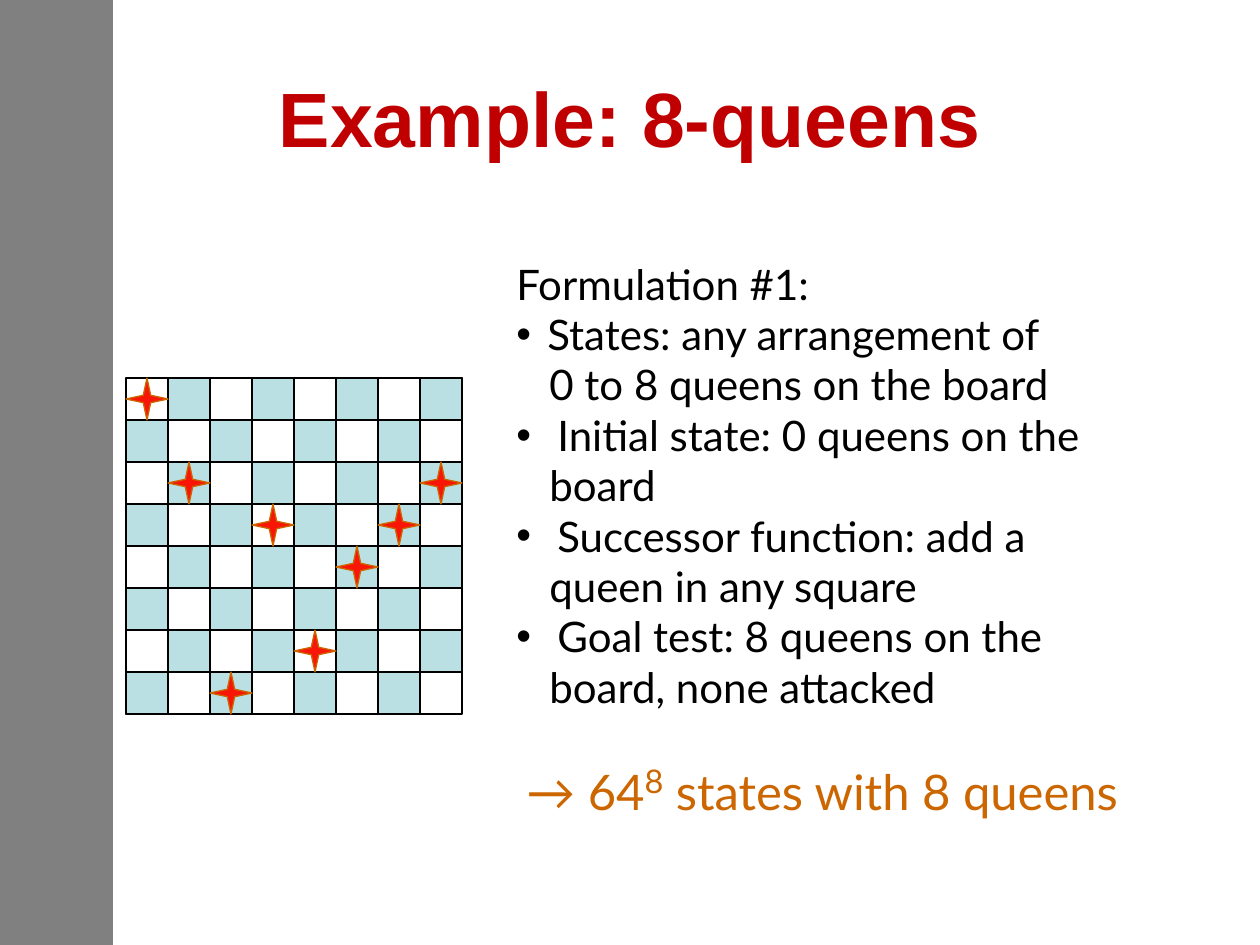
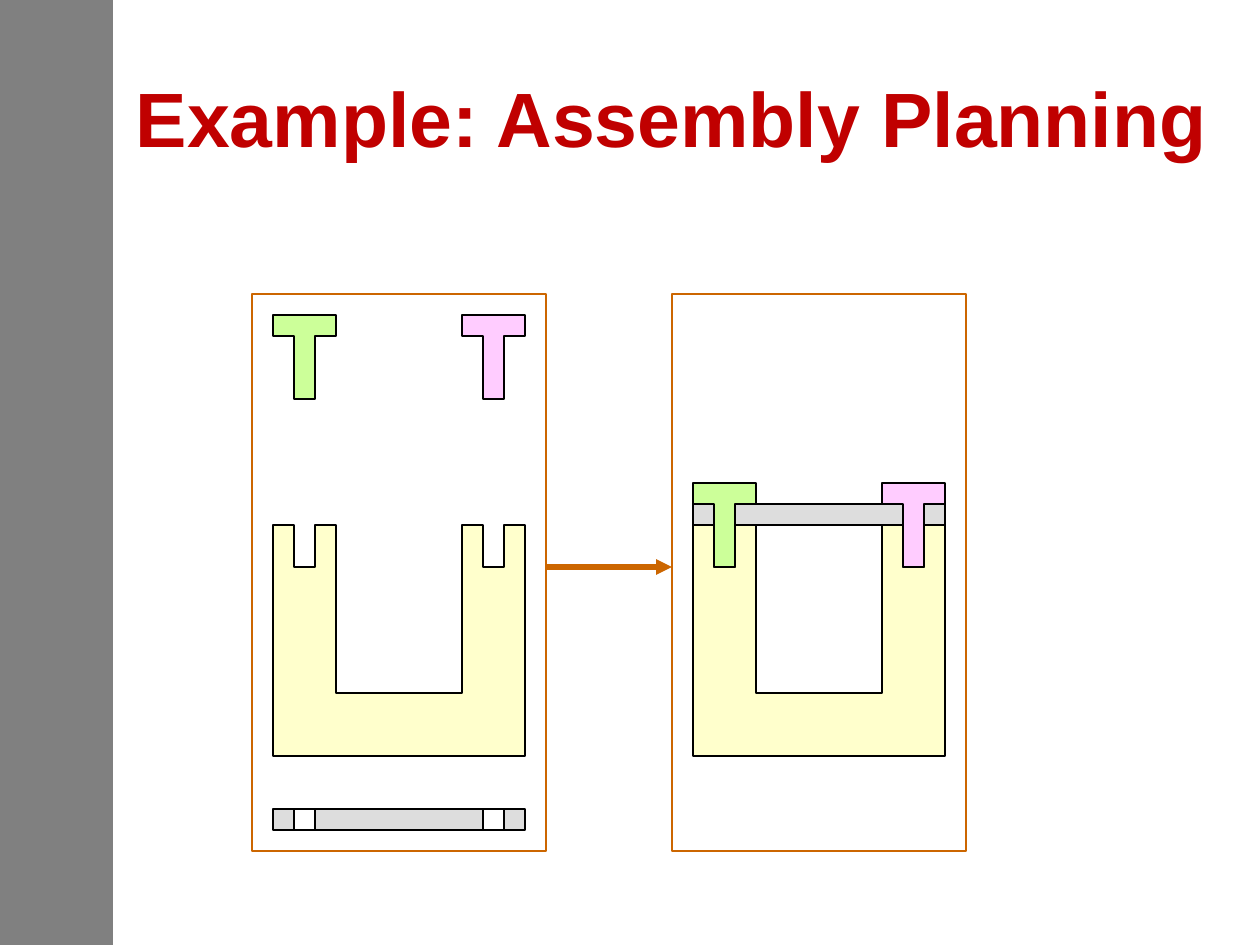
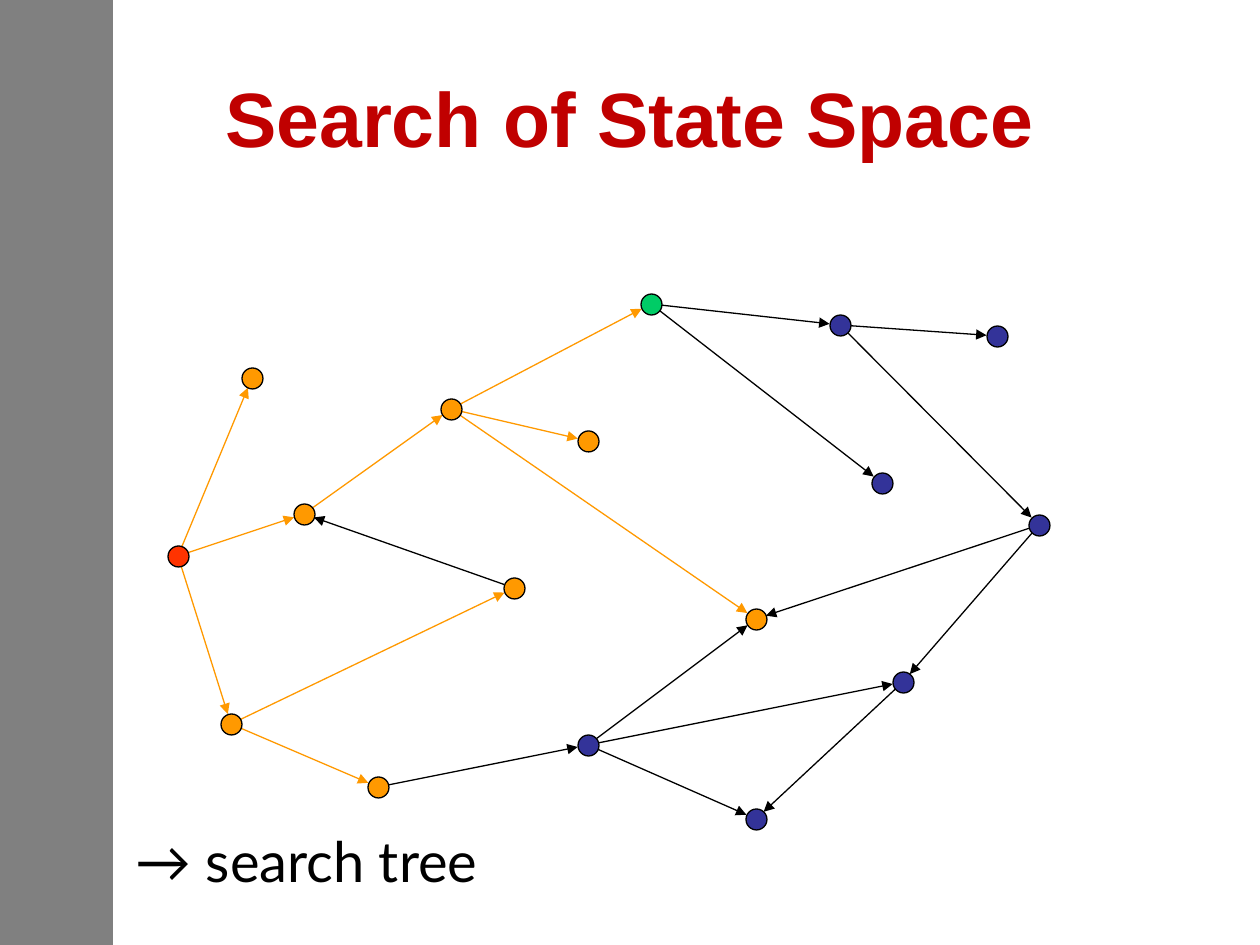
from dataclasses import dataclass
from math import hypot
from typing import Optional

from lxml import etree
from pptx import Presentation
from pptx.dml.color import RGBColor
from pptx.enum.shapes import MSO_CONNECTOR, MSO_SHAPE
from pptx.enum.text import MSO_ANCHOR, PP_ALIGN
from pptx.oxml.ns import qn
from pptx.util import Pt

# Shared scale, colours and fonts
EMU_PER_PX = 914400 / 126
TITLE_FONT, BODY_FONT = "Arial", "Lato"
BLACK, WHITE, GRAY, RED = "000000", "FFFFFF", "808080", "C00000"
BROWN, ORANGE, BLUE = "CC6600", "FF9900", "333399"
THIN = 0.75


@dataclass(frozen=True)
class Line:
    text: str
    indent: int = 0
    bullet: bool = False


@dataclass(frozen=True)
class Assembly:
    x: int
    bolt_y: int
    bar_y: int


@dataclass(frozen=True)
class Node:
    x: int
    y: int
    color: str


def px(n: float) -> int:
    return round(n * EMU_PER_PX)


def rgb(color: str) -> RGBColor:
    return RGBColor.from_string(color)


# Drawing helpers
def paint(sp, fill: Optional[str], line: Optional[str]):
    sp.shadow.inherit = False
    if fill:
        sp.fill.solid()
        sp.fill.fore_color.rgb = rgb(fill)
    else:
        sp.fill.background()
    if line:
        sp.line.color.rgb = rgb(line)
        sp.line.width = Pt(THIN)
    else:
        sp.line.fill.background()
    return sp


def add_shape(s, kind, x: int, y: int, w: int, h: int,
              fill: Optional[str] = None, line: Optional[str] = BLACK):
    sp = s.shapes.add_shape(kind, px(x), px(y), px(w), px(h))
    return paint(sp, fill, line)


def add_outline(s, points, x: int, y: int, unit: int, fill: str) -> None:
    """Close an outline whose points count whole units from (x, y)."""
    builder = s.shapes.build_freeform(*points[0], scale=px(unit))
    builder.add_line_segments(points[1:], close=True)
    paint(builder.convert_to_shape(px(x), px(y)), fill, BLACK)


def add_arrow(s, x1: float, y1: float, x2: float, y2: float,
              color: str, width: float = THIN) -> None:
    c = s.shapes.add_connector(MSO_CONNECTOR.STRAIGHT, px(x1), px(y1), px(x2), px(y2))
    c.line.color.rgb = rgb(color)
    c.line.width = Pt(width)
    ln = c.line._get_or_add_ln()
    etree.SubElement(ln, qn("a:tailEnd"), type="triangle")
    etree.SubElement(c._element.spPr, qn("a:effectLst"))


def add_box(s, x: int, y: int, w: int, h: int):
    tf = s.shapes.add_textbox(px(x), px(y), px(w), px(h)).text_frame
    tf.word_wrap = True
    return tf


def add_text(p, text: str, *, size: int, color: str = BLACK, font: str = BODY_FONT,
             bold: bool = False, raised: bool = False) -> None:
    r = p.add_run()
    r.text = text
    r.font.size, r.font.name, r.font.bold = Pt(size), font, bold
    r.font.color.rgb = rgb(color)
    if raised:
        r.font._element.set("baseline", "30000")


def set_indent(p, line: Line) -> None:
    pPr = p._p.get_or_add_pPr()
    pPr.set("marL", str(px(line.indent)))
    pPr.set("indent", str(-px(line.indent) if line.bullet else 0))
    if line.bullet:
        etree.SubElement(pPr, qn("a:buFont"), typeface=TITLE_FONT)
        etree.SubElement(pPr, qn("a:buChar"), char="•")


def add_slide(prs, title: str, title_x: int = 63):
    """Blank slide with the side band and the red title."""
    s = prs.slides.add_slide(prs.slide_layouts[6])
    add_shape(s, MSO_SHAPE.RECTANGLE, 0, 0, 113, 945, GRAY, None)
    tf = add_box(s, title_x, 38, 1134, 157)
    tf.vertical_anchor = MSO_ANCHOR.MIDDLE
    p = tf.paragraphs[0]
    p.alignment = PP_ALIGN.CENTER
    add_text(p, title, size=44, color=RED, font=TITLE_FONT, bold=True)
    return s


# Slide 1: board and formulation
BOARD_X, BOARD_Y, CELL, BOARD_SIZE = 126, 378, 42, 8
QUEEN_ROWS = (0, 2, 7, 3, 6, 4, 3, 2)  # one queen per column
FORMULATION = (
    Line("Formulation #1:"),
    Line("States: any arrangement of", 31, True),
    Line("0 to 8 queens on the board", 33),
    Line("Initial state: 0 queens on the", 41, True),
    Line("board", 33),
    Line("Successor function: add a", 41, True),
    Line("queen in any square", 33),
    Line("Goal test: 8 queens on the", 41, True),
    Line("board, none attacked", 33),
)


def add_cell(s, kind, row: int, col: int, fill: str, line: str):
    return add_shape(s, kind, BOARD_X + col * CELL, BOARD_Y + row * CELL,
                     CELL, CELL, fill, line)


def queens_slide(prs) -> None:
    s = add_slide(prs, "Example: 8-queens")
    side = BOARD_SIZE * CELL
    add_shape(s, MSO_SHAPE.RECTANGLE, BOARD_X, BOARD_Y, side, side)
    for row in range(BOARD_SIZE):
        for col in range(BOARD_SIZE):
            if (row + col) % 2:
                add_cell(s, MSO_SHAPE.RECTANGLE, row, col, "BBE0E3", BLACK)
    for col, row in enumerate(QUEEN_ROWS):
        queen = add_cell(s, MSO_SHAPE.STAR_4_POINT, row, col, "F81706", BROWN)
        queen.adjustments[0] = 0.125

    tf = add_box(s, 504, 252, 607, 515)
    for i, line in enumerate(FORMULATION):
        p = tf.add_paragraph() if i else tf.paragraphs[0]
        set_indent(p, line)
        add_text(p, line.text, size=24)

    p = add_box(s, 514, 748, 625, 72).paragraphs[0]
    add_text(p, "→ 64", size=28, color=BROWN)
    add_text(p, "8", size=32, color=BROWN, raised=True)
    add_text(p, " states with 8 queens", size=28, color=BROWN)


# Slide 2: parts before and after assembly
UNIT = 21
BASE_Y = 525
BASE = [(0, 0), (1, 0), (1, 2), (2, 2), (2, 0), (3, 0), (3, 8), (9, 8), (9, 0),
        (10, 0), (10, 2), (11, 2), (11, 0), (12, 0), (12, 11), (0, 11)]
BOLT = [(0, 0), (3, 0), (3, 1), (2, 1), (2, 4), (1, 4), (1, 1), (0, 1)]
BOLTS = ((0, "CCFF99"), (9, "FFCCFF"))  # column in units, colour
FRAME_Y, FRAME_W, FRAME_H = 294, 14 * UNIT, 557
APART = Assembly(x=273, bolt_y=315, bar_y=809)
JOINED = Assembly(x=693, bolt_y=483, bar_y=504)


def add_assembly(s, a: Assembly) -> None:
    rect = MSO_SHAPE.RECTANGLE
    add_outline(s, BASE, a.x, BASE_Y, UNIT, "FFFFCC")
    add_shape(s, rect, a.x, a.bar_y, 12 * UNIT, UNIT, "DDDDDD")
    for col, color in BOLTS:
        add_shape(s, rect, a.x + (col + 1) * UNIT, a.bar_y, UNIT, UNIT, WHITE)
    for col, color in BOLTS:
        add_outline(s, BOLT, a.x + col * UNIT, a.bolt_y, UNIT, color)
    add_shape(s, rect, a.x - UNIT, FRAME_Y, FRAME_W, FRAME_H, line=BROWN)


def assembly_slide(prs) -> None:
    s = add_slide(prs, "Example: Assembly Planning", 105)
    for a in (APART, JOINED):
        add_assembly(s, a)
    add_arrow(s, APART.x - UNIT + FRAME_W, 567, JOINED.x - UNIT, 567, BROWN, 3)


# Slide 3: state graph, with the search tree in orange
DIAMETER = 21
NODES = {
    "start": Node(178, 556, "FF3300"),
    "goal": Node(651, 304, "00CC66"),
    "top leaf": Node(252, 378, ORANGE),
    "middle": Node(304, 514, ORANGE),
    "lower": Node(231, 724, ORANGE),
    "back": Node(514, 588, ORANGE),
    "hub": Node(451, 409, ORANGE),
    "hub leaf": Node(588, 441, ORANGE),
    "meeting": Node(756, 619, ORANGE),
    "bottom": Node(378, 787, ORANGE),
    "goal leaf": Node(882, 483, BLUE),
    "right low": Node(903, 682, BLUE),
    "fork": Node(588, 745, BLUE),
    "sink": Node(756, 819, BLUE),
    "beyond": Node(840, 325, BLUE),
    "far right": Node(1039, 525, BLUE),
    "far top": Node(997, 336, BLUE),
}
TREE_EDGES = (
    ("start", "top leaf"), ("start", "middle"), ("start", "lower"),
    ("lower", "bottom"), ("lower", "back"), ("middle", "hub"),
    ("hub", "hub leaf"), ("hub", "goal"), ("hub", "meeting"),
)
OTHER_EDGES = (
    ("bottom", "fork"), ("back", "middle"), ("fork", "sink"),
    ("fork", "right low"), ("fork", "meeting"), ("right low", "sink"),
    ("goal", "goal leaf"), ("goal", "beyond"), ("beyond", "far top"),
    ("beyond", "far right"), ("far right", "meeting"), ("far right", "right low"),
)


def add_edge(s, a: Node, b: Node, color: str) -> None:
    """Arrow from the rim of one node to the rim of the next."""
    dx, dy = b.x - a.x, b.y - a.y
    t = DIAMETER / 2 / hypot(dx, dy)
    add_arrow(s, a.x + t * dx, a.y + t * dy, b.x - t * dx, b.y - t * dy, color)


def search_slide(prs) -> None:
    s = add_slide(prs, "Search of State Space")
    for edges, color in ((TREE_EDGES, ORANGE), (OTHER_EDGES, BLACK)):
        for start, end in edges:
            add_edge(s, NODES[start], NODES[end], color)
    for n in NODES.values():
        add_shape(s, MSO_SHAPE.OVAL, n.x - DIAMETER // 2, n.y - DIAMETER // 2,
                  DIAMETER, DIAMETER, n.color)
    p = add_box(s, 123, 820, 374, 79).paragraphs[0]
    add_text(p, "→ search tree", size=32)


def main() -> None:
    prs = Presentation()
    prs.slide_width, prs.slide_height = px(1260), px(945)
    queens_slide(prs)
    assembly_slide(prs)
    search_slide(prs)
    prs.save("out.pptx")


if __name__ == "__main__":
    main()
